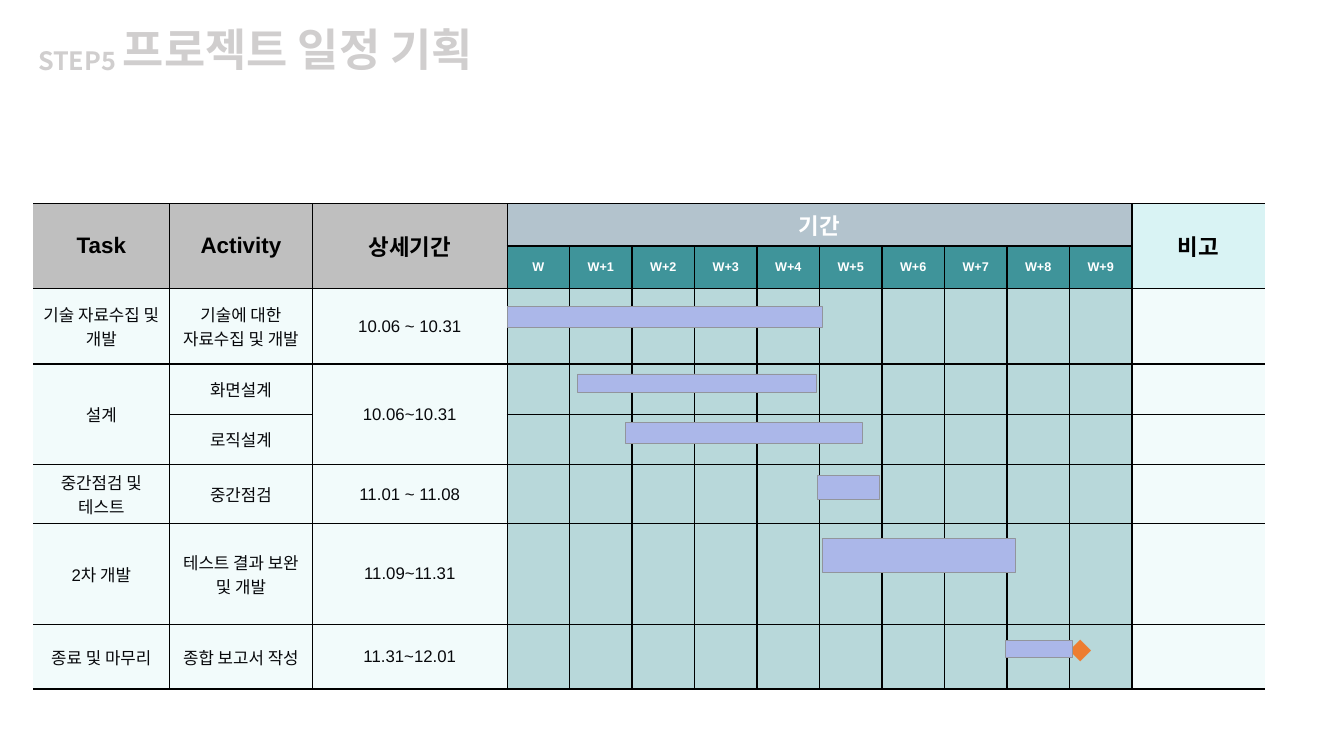
from pptx import Presentation
from pptx.dml.color import RGBColor as RGB
from pptx.enum.shapes import MSO_SHAPE as SHAPE
from pptx.enum.text import MSO_ANCHOR as ANCHOR, PP_ALIGN as ALIGN
from pptx.oxml.ns import qn
from pptx.util import Inches, Pt
from lxml.etree import SubElement as Sub

BLACK = RGB(0x00, 0x00, 0x00)
INK = RGB(0x07, 0x08, 0x0B)
WHITE = RGB(0xFF, 0xFF, 0xFF)
GREY = RGB(0xBF, 0xBF, 0xBF)
STEEL = RGB(0xB3, 0xC3, 0xCD)
AQUA = RGB(0xD9, 0xF3, 0xF4)
TEAL = RGB(0x3F, 0x94, 0x9A)
MIST = RGB(0xF2, 0xFB, 0xFB)
SAGE = RGB(0xB8, 0xD8, 0xDA)
LILAC = RGB(0xAB, 0xB7, 0xE9)
EDGE = RGB(0x92, 0x95, 0x9C)
PALE = RGB(0xD0, 0xCE, 0xCE)
ORANGE = RGB(0xED, 0x7D, 0x31)

LATIN, KOREAN = "Arial", "Noto Sans CJK KR"

# Grid of the schedule, in inches
LEFT, TOP = 0.33, 2.02
WEEKS, WEEK = 10, 0.62
COLS = [1.35, 1.42, 1.93] + [WEEK] * WEEKS + [1.32]
ROWS = [0.42, 0.42, 0.75, 0.5, 0.5, 0.58, 1, 0.64]
FIRST = 3
LAST = FIRST + WEEKS

HEAD = {"size": Pt(16), "bold": True}
SMALL = {"size": Pt(9), "bold": True}
BODY = {"size": Pt(12), "bold": False}

TITLES = ["Task", "Activity", "상세기간"]
TASKS = [
    ("기술 자료수집 및 개발", "기술에 대한 자료수집 및 개발", "10.06 ~ 10.31"),
    ("설계", "화면설계", "10.06~10.31"),
    ("", "로직설계", ""),
    ("중간점검 및 테스트", "중간점검", "11.01 ~ 11.08"),
    ("2차 개발", "테스트 결과 보완 및 개발", "11.09~11.31"),
    ("종료 및 마무리", "종합 보고서 작성", "11.31~12.01"),
]
# Start week, length in weeks, then offset and height as shares of the row
BARS = [
    (0.01, 5.03, 0.24, 0.28),
    (1.13, 3.82, 0.2, 0.36),
    (1.89, 3.79, 0.16, 0.42),
    (4.97, 0.98, 0.19, 0.4),
    (5.05, 3.08, 0.15, 0.34),
    (7.97, 1.08, 0.25, 0.27),
]


def write(para, text, look, color, face):
    run = para.add_run()
    run.text = text
    run.font.name = face
    for key, val in look.items():
        setattr(run.font, key, val)
    run.font.color.rgb = color
    Sub(run.font._element, qn("a:ea")).set("typeface", KOREAN)


def border(cell, row, col):
    props = cell._tc.get_or_add_tcPr()
    shown = {"L": col > 0, "R": col < LAST, "T": True, "B": True}
    for spot, (side, drawn) in enumerate(shown.items()):
        line = Sub(props, qn(f"a:ln{side}"), w=str(Pt(1)))
        if drawn:
            solid = Sub(line, qn("a:solidFill"))
            Sub(solid, qn("a:srgbClr"), val=str(BLACK))
        else:
            Sub(line, qn("a:noFill"))
        props.insert(spot, line)


def paint(cell, fill, text="", look=BODY, color=INK, side=0.1):
    cell.fill.solid()
    cell.fill.fore_color.rgb = fill
    box = {"vertical_anchor": ANCHOR.MIDDLE,
           "margin_left": Inches(side), "margin_right": Inches(side)}
    for key, val in box.items():
        setattr(cell, key, val)
    if text:
        para = cell.text_frame.paragraphs[0]
        para.alignment = ALIGN.CENTER
        gap = Sub(para._p.get_or_add_pPr(), qn("a:spcBef"))
        Sub(gap, qn("a:spcPct"), val="20000")
        write(para, text, look, color, LATIN)


def plan(slide):
    size = map(Inches, (LEFT, TOP, sum(COLS), sum(ROWS)))
    table = slide.shapes.add_table(len(ROWS), len(COLS), *size).table
    table.first_row = table.horz_banding = False
    for col, width in zip(table.columns, COLS):
        col.width = Inches(width)
    for row, height in zip(table.rows, ROWS):
        row.height = Inches(height)

    # Header
    for col, text in enumerate(TITLES):
        paint(table.cell(0, col), GREY, text, HEAD, BLACK)
        paint(table.cell(1, col), GREY)
    for week in range(WEEKS):
        col = FIRST + week
        paint(table.cell(0, col), STEEL, "" if week else "기간", HEAD, WHITE)
        name = f"W+{week}" if week else "W"
        paint(table.cell(1, col), TEAL, name, SMALL, WHITE, 0)
    paint(table.cell(0, LAST), AQUA, "비고", HEAD, BLACK)
    paint(table.cell(1, LAST), AQUA)

    # Tasks
    for row, texts in enumerate(TASKS, 2):
        for col, text in enumerate(texts):
            paint(table.cell(row, col), MIST, text)
        for col in range(FIRST, LAST):
            paint(table.cell(row, col), SAGE)
        paint(table.cell(row, LAST), MIST)

    # Borders and merged cells
    for row in range(len(ROWS)):
        for col in range(len(COLS)):
            border(table.cell(row, col), row, col)
    spans = [(0, col, 1, col) for col in (0, 1, 2, LAST)]
    spans += [(0, FIRST, 0, LAST - 1), (3, 0, 4, 0), (3, 2, 4, 2)]
    for top, left, low, right in spans:
        table.cell(top, left).merge(table.cell(low, right))


def bar(slide, row, start, length, drop, share):
    left = LEFT + sum(COLS[:FIRST]) + start * WEEK
    top = TOP + sum(ROWS[:row]) + drop * ROWS[row]
    size = map(Inches, (left, top, length * WEEK, share * ROWS[row]))
    shape = slide.shapes.add_shape(SHAPE.RECTANGLE, *size)
    shape.shadow.inherit = False
    shape.fill.solid()
    shape.fill.fore_color.rgb = LILAC
    shape.line.color.rgb = EDGE
    shape.line.width = Pt(0.5)


def label(slide, text, area, look, color, align, space=None):
    frame = slide.shapes.add_textbox(*map(Inches, area)).text_frame
    frame.word_wrap = True
    para = frame.paragraphs[0]
    para.alignment = align
    para.line_spacing = space
    write(para, text, look, color, KOREAN)


def main():
    deck = Presentation()
    deck.slide_width, deck.slide_height = Inches(13.33), Inches(7.5)
    slide = deck.slides.add_slide(deck.slide_layouts[6])

    # Schedule
    plan(slide)
    label(slide, "◆", (10.3, 6.22, 0.84, 0.42), {"size": Pt(16)},
          ORANGE, ALIGN.CENTER, 1.2)
    for row, spot in enumerate(BARS, 2):
        bar(slide, row, *spot)

    # Title
    label(slide, "STEP5", (0.02, 0.4, 1.49, 0.4),
          {"size": Pt(18), "bold": True}, PALE, ALIGN.CENTER)
    label(slide, "프로젝트 일정 기획", (1.12, 0.17, 4.4, 0.64),
          {"size": Pt(32), "bold": True}, PALE, ALIGN.LEFT)
    deck.save("out.pptx")


if __name__ == "__main__":
    main()
